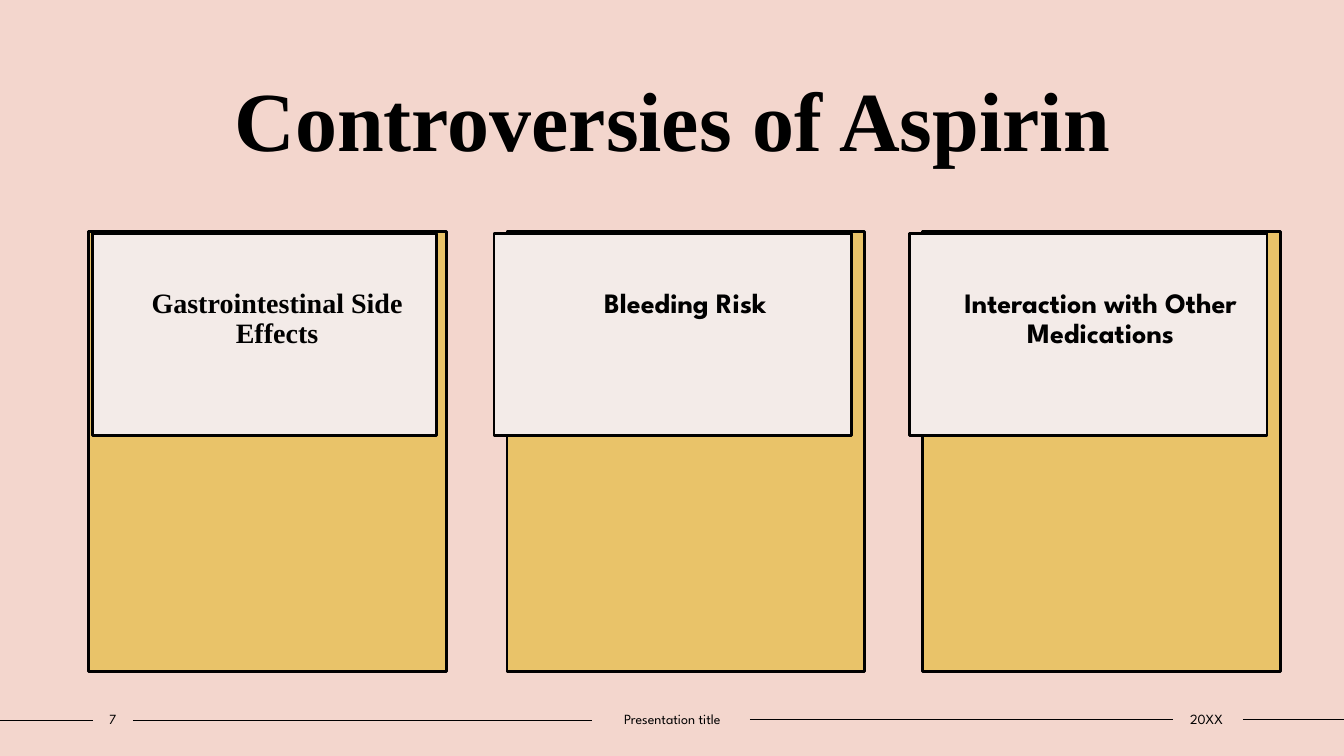
from dataclasses import dataclass

from lxml import etree
from pptx import Presentation
from pptx.dml.color import RGBColor
from pptx.enum.shapes import MSO_CONNECTOR, MSO_SHAPE
from pptx.enum.text import MSO_ANCHOR, MSO_AUTO_SIZE, PP_ALIGN
from pptx.oxml.ns import qn
from pptx.util import Pt

RECT = MSO_SHAPE.RECTANGLE
STRAIGHT = MSO_CONNECTOR.STRAIGHT
TOP, MIDDLE, BOTTOM = MSO_ANCHOR.TOP, MSO_ANCHOR.MIDDLE, MSO_ANCHOR.BOTTOM
CENTER = PP_ALIGN.CENTER
NO_FIT = MSO_AUTO_SIZE.NONE

BLACK = RGBColor(0x00, 0x00, 0x00)
PINK = RGBColor(0xF3, 0xD6, 0xCD)
GOLD = RGBColor(0xE9, 0xC3, 0x69)
CREAM = RGBColor(0xF3, 0xEB, 0xE8)
SERIF = "Times New Roman"
SANS = "League Spartan"

PANEL_TOP, PANEL_W, PANEL_H = 165.6, 255.6, 313.9
CARD_TOP, CARD_H = 167, 144
FOOTER_TOP, FOOTER_H = 504, 19.4


@dataclass
class Topic:
    heading: str
    font: str
    panel_left: float
    card_left: float
    card_width: float


@dataclass
class FooterLabel:
    text: str
    left: float
    width: float


@dataclass
class Rule:
    start: float
    end: float
    y: float


TOPICS = [
    Topic("Gastrointestinal Side Effects", SERIF, 63.4, 66.2, 245.5),
    Topic("Bleeding Risk", SANS, 362.2, 352.8, PANEL_W),
    Topic("Interaction with Other Medications", SANS, 658.8, 649.4, PANEL_W),
]
FOOTER = [
    FooterLabel("7", 66.2, 28.8),
    FooterLabel("Presentation title", 422.6, 115.2),
    FooterLabel("20XX", 836.6, 50.4),
]
RULES = [
    Rule(0, 66.2, 514.8),
    Rule(95, 422.6, 514.8),
    Rule(535.7, 838.1, 514.1),
    Rule(887.8, 960, 514.1),
]


def place(sp, left: float, top: float, width: float, height: float) -> None:
    sp.left, sp.top, sp.width, sp.height = Pt(left), Pt(top), Pt(width), Pt(height)


def paint(sp, color: RGBColor) -> None:
    sp.fill.solid()
    sp.fill.fore_color.rgb = color
    sp.line.color.rgb = BLACK
    sp.line.width = Pt(2)


def write(sp, text: str, font: str, size: float, bold: bool, anchor,
          insets: tuple[float, float, float, float], spacing: float = 1) -> None:
    tf = sp.text_frame
    tf.text = text
    tf.word_wrap = True
    tf.auto_size = NO_FIT
    tf.vertical_anchor = anchor
    tf.margin_left, tf.margin_top, tf.margin_right, tf.margin_bottom = map(Pt, insets)
    p = tf.paragraphs[0]
    pPr = p._p.get_or_add_pPr()
    pPr.set("marL", "0")
    pPr.set("indent", "0")
    etree.SubElement(pPr, qn("a:buNone"))
    p.alignment = CENTER
    p.space_before = Pt(0)
    p.line_spacing = spacing
    r = p.runs[0]
    r.font.name = font
    r.font.size = Pt(size)
    r.font.bold = bold
    r.font.color.rgb = BLACK


def add_rule(s, rule: Rule) -> None:
    line = s.shapes.add_connector(STRAIGHT, Pt(rule.start), Pt(rule.y), Pt(rule.end), Pt(rule.y))
    line.line.color.rgb = BLACK
    line.line.width = Pt(1)
    etree.SubElement(line._element.spPr, qn("a:effectLst"))


def add_topic(s, topic: Topic, card) -> None:
    panel = s.shapes.add_shape(RECT, Pt(topic.panel_left), Pt(PANEL_TOP), Pt(PANEL_W), Pt(PANEL_H))
    panel.shadow.inherit = False
    paint(panel, GOLD)
    place(card, topic.card_left, CARD_TOP, topic.card_width, CARD_H)
    paint(card, CREAM)
    write(card, topic.heading, topic.font, 20, True, TOP, (25.2, 39.6, 7.2, 3.6), 0.9)
    s.shapes.element.append(card.element)


def add_footer_label(s, label: FooterLabel) -> None:
    sp = s.shapes.add_textbox(Pt(label.left), Pt(FOOTER_TOP), Pt(label.width), Pt(FOOTER_H))
    write(sp, label.text, SANS, 10, False, MIDDLE, (0, 3.6, 0, 3.6))


def main() -> None:
    prs = Presentation()
    prs.slide_width, prs.slide_height = Pt(960), Pt(540)
    s = prs.slides.add_slide(prs.slide_layouts.get_by_name("Comparison"))
    s.background.fill.solid()
    s.background.fill.fore_color.rgb = PINK

    title, *cards, spare = list(s.placeholders)
    spare.element.getparent().remove(spare.element)
    place(title, 90, 40.3, 780.5, 79.9)
    write(title, "Controversies of Aspirin", SERIF, 60, True, BOTTOM, (7.2, 3.6, 7.2, 0))

    for rule in RULES:
        add_rule(s, rule)
    for topic, card in zip(TOPICS, cards):
        add_topic(s, topic, card)
    for label in FOOTER:
        add_footer_label(s, label)

    prs.save("out.pptx")


if __name__ == "__main__":
    main()
